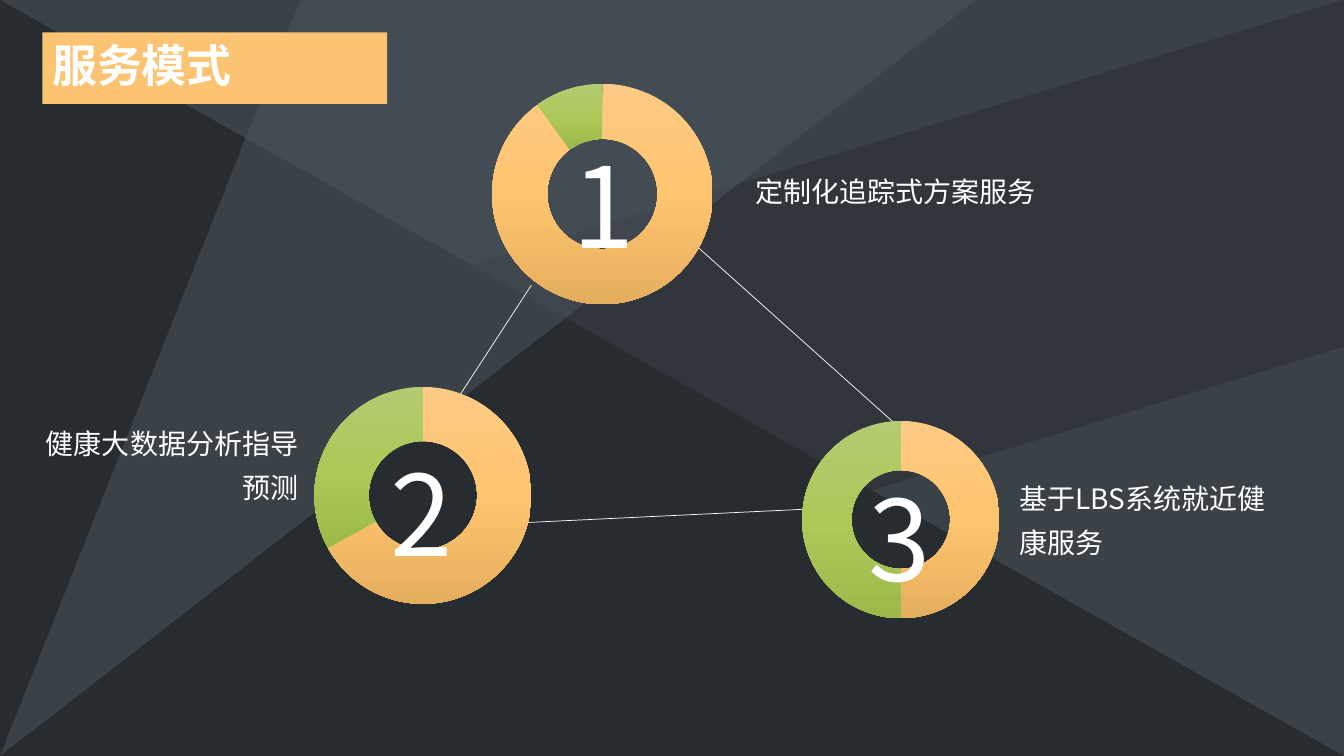
import pptx
import pptx.chart.data
import pptx.dml.color
import pptx.enum.chart
import pptx.enum.shapes
import pptx.enum.text
import pptx.oxml
import pptx.oxml.ns
import pptx.util
from lxml import etree

Inches = pptx.util.Inches
Pt = pptx.util.Pt
SHAPES = pptx.enum.shapes.MSO_SHAPE
ALIGN = pptx.enum.text.PP_ALIGN
ANCHOR = pptx.enum.text.MSO_ANCHOR
qn = pptx.oxml.ns.qn

WHITE, DARK, SLATE, STEEL, ORANGE = "FFFFFF", "272C30", "3A4147", "4E575F", "FBC372"
ORANGE_STOPS = ("FDCA85", "FFC46E", "E5AE5F")
GREEN_STOPS = ("B3CB73", "ACC959", "9CB949")
RING_SHARE = 0.886


def color(value):
    return pptx.dml.color.RGBColor.from_string(value)


class ServiceSlide:
    """Draws the service model slide in one shared style."""

    latin = "Calibri"
    chinese = "Noto Sans CJK SC"

    def __init__(self, deck):
        self.page = deck.slides.add_slide(deck.slide_layouts[6])
        self.page.background.fill.solid()
        self.page.background.fill.fore_color.rgb = color(SLATE)

    def paint(self, shape, fill, alpha=None):
        shape.shadow.inherit = False
        shape.fill.solid()
        shape.fill.fore_color.rgb = color(fill)
        shape.line.fill.background()
        if alpha:
            tone = shape.fill._xPr.find(".//" + qn("a:srgbClr"))
            etree.SubElement(tone, qn("a:alpha")).set("val", str(alpha * 1000))
        return shape

    def preset(self, kind, frame, fill, alpha=None):
        shape = self.page.shapes.add_shape(kind, *map(Inches, frame))
        return self.paint(shape, fill, alpha)

    def polygon(self, points, fill, alpha):
        corners = [(Inches(x), Inches(y)) for x, y in points]
        builder = self.page.shapes.build_freeform(*corners[0])
        builder.add_line_segments(corners[1:], close=True)
        return self.paint(builder.convert_to_shape(), fill, alpha)

    def put_text(self, box, text, size, font, bold=False, **paragraph):
        frame = box.text_frame
        frame.word_wrap = True
        para = frame.paragraphs[0]
        for name, value in paragraph.items():
            setattr(para, name, value)
        span = para.add_run()
        span.text = text
        style = {"name": font, "size": Pt(size), "bold": bold}
        for name, value in style.items():
            setattr(span.font, name, value)
        span.font.color.rgb = color(WHITE)
        etree.SubElement(span.font._element, qn("a:ea")).set("typeface", self.chinese)
        return frame

    def title(self, frame, text):
        box = self.preset(SHAPES.RECTANGLE, frame, ORANGE)
        text_frame = self.put_text(box, text, 32, self.latin, True, alignment=ALIGN.LEFT)
        text_frame.vertical_anchor = ANCHOR.TOP

    def number(self, frame, text):
        box = self.page.shapes.add_textbox(*map(Inches, frame))
        self.put_text(box, text, 80, self.chinese, line_spacing=1.3)

    def label(self, frame, text, align):
        box = self.page.shapes.add_textbox(*map(Inches, frame))
        text_frame = self.put_text(box, text, 20, self.chinese, line_spacing=1.3, alignment=align)
        margins = {"margin_left": 0.07, "margin_right": 0.07, "margin_top": 0.04, "margin_bottom": 0.04}
        for name, value in margins.items():
            setattr(text_frame, name, Inches(value))

    def link(self, start, end):
        line = self.page.shapes.add_connector(
            pptx.enum.shapes.MSO_CONNECTOR.STRAIGHT, *map(Inches, (*start, *end)))
        line.line.color.rgb = color(WHITE)
        line.line.width = Pt(0.5)
        etree.SubElement(line._element.spPr, qn("a:effectLst"))

    def ring(self, frame, share):
        data = pptx.chart.data.CategoryChartData()
        data.categories = ["1", "2"]
        data.add_series("Series 1", (share, 100 - share))
        chart = self.page.shapes.add_chart(
            pptx.enum.chart.XL_CHART_TYPE.DOUGHNUT, *map(Inches, frame), data).chart
        chart.has_legend = False
        chart.has_title = False
        font = {"name": self.latin, "size": Pt(10)}
        for name, value in font.items():
            setattr(chart.font, name, value)
        chart.font.color.rgb = color(WHITE)
        plot = chart.plots[0]
        plot.vary_by_categories = True
        plot._element.find(qn("c:holeSize")).set("val", "75")
        for index, stops in enumerate((ORANGE_STOPS, GREEN_STOPS)):
            self.gradient(plot.series[0].points[index].format.fill, stops)
        self.center_plot(chart, *frame[2:])

    def gradient(self, fill, stops):
        fill.gradient()
        fill.gradient_angle = 270
        stop_list = fill._xPr.find(".//" + qn("a:gsLst"))
        for stop in list(stop_list):
            stop_list.remove(stop)
        for place, value in enumerate(stops):
            stop = etree.SubElement(stop_list, qn("a:gs"))
            stop.set("pos", str(place * 50000))
            etree.SubElement(stop, qn("a:srgbClr")).set("val", value)

    def center_plot(self, chart, width, height):
        area = chart._chartSpace.find(".//" + qn("c:plotArea"))
        for layout in area.findall(qn("c:layout")):
            area.remove(layout)
        layout = etree.Element(qn("c:layout"))
        area.insert(0, layout)
        manual = etree.SubElement(layout, qn("c:manualLayout"))
        across, down = (RING_SHARE * min(width, height) / side for side in (width, height))
        values = {"layoutTarget": "inner", "xMode": "edge", "yMode": "edge",
                  "x": (1 - across) / 2, "y": (1 - down) / 2, "w": across, "h": down}
        for name, value in values.items():
            etree.SubElement(manual, qn("c:" + name)).set("val", str(value))


def main():
    deck = pptx.Presentation()
    deck.slide_width, deck.slide_height = Inches(13.33), Inches(7.5)
    slide = ServiceSlide(deck)

    triangle = slide.preset(SHAPES.ISOSCELES_TRIANGLE, (0, 0, 13.33, 7.5), DARK)
    triangle.adjustments[0] = 0
    band = slide.preset(SHAPES.PARALLELOGRAM, (2.92, -2.92, 7.5, 13.33), DARK, 50)
    band.adjustments[0] = 0.541
    band.rotation = 270
    band._element.spPr.find(qn("a:xfrm")).set("flipH", "1")
    slide.polygon([(9.68, 0), (2.98, 0), (0, 7.5)], STEEL, 50)

    slide.title((0.42, 0.32, 3.42, 0.71), "服务模式")
    for start, end in (((4.47, 4.06), (5.27, 2.83)),
                       ((6.93, 2.46), (8.94, 4.26)),
                       ((5.1, 5.19), (8.02, 5.05))):
        slide.link(start, end)
    for frame, share in (((2.37, 3.7, 3.65, 2.43), 67),
                         ((7.83, 3.96, 2.21, 2.39), 50),
                         ((4.12, 0.69, 3.71, 2.47), 90)):
        slide.ring(frame, share)
    for frame, text, align in (
            ((7.42, 1.59, 3.18, 0.91), "定制化追踪式方案服务", ALIGN.LEFT),
            ((0.17, 4.09, 2.86, 0.91), "健康大数据分析指导预测", ALIGN.RIGHT),
            ((10.04, 4.64, 2.62, 0.95), "基于LBS系统就近健康服务", ALIGN.LEFT)):
        slide.label(frame, text, align)
    for frame, text in (((3.77, 3.96, 0.99, 1.85), "2"),
                        ((8.52, 4.21, 0.88, 1.68), "3"),
                        ((5.58, 0.91, 0.99, 1.83), "1")):
        slide.number(frame, text)

    deck.save("out.pptx")


if __name__ == "__main__":
    main()
